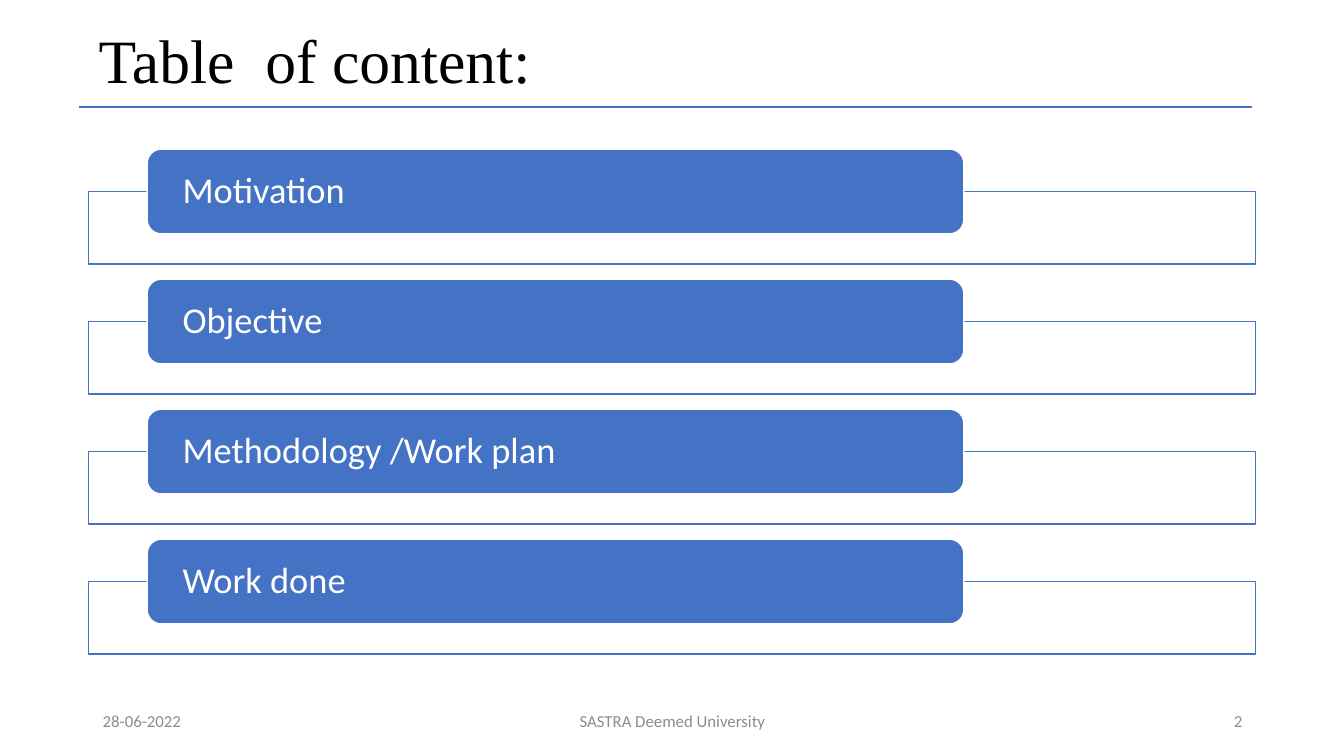
from lxml import etree
from pptx import Presentation
from pptx.dml.color import RGBColor
from pptx.enum.shapes import MSO_CONNECTOR, MSO_SHAPE
from pptx.enum.text import MSO_ANCHOR, PP_ALIGN
from pptx.oxml.ns import qn
from pptx.util import Inches, Pt

COLORS = {"blue": "4472C4", "white": "FFFFFF", "black": "000000", "gray": "8C8C8C"}


def write(shape, text, font, size, color, align=PP_ALIGN.LEFT, anchor=MSO_ANCHOR.MIDDLE):
    frame = shape.text_frame
    frame.text = text
    frame.word_wrap = True
    frame.vertical_anchor = anchor
    paragraph = frame.paragraphs[0]
    paragraph.alignment = align
    run_font = paragraph.runs[0].font
    run_font.name = font
    run_font.size = Pt(size)
    run_font.color.rgb = RGBColor.from_string(COLORS[color])


def add_block(kind, left, top, width, height, fill, line):
    block = slide.shapes.add_shape(kind, Inches(left), Inches(top), Inches(width), Inches(height))
    block.shadow.inherit = False
    block.fill.solid()
    block.fill.fore_color.rgb = RGBColor.from_string(COLORS[fill])
    block.line.color.rgb = RGBColor.from_string(COLORS[line])
    block.line.width = Pt(1)
    return block


prs = Presentation()
prs.slide_width = Inches(13.33)
prs.slide_height = Inches(7.5)
slide = prs.slides.add_slide(prs.slide_layouts[6])

# Title
title = slide.shapes.add_textbox(Inches(0.88), Inches(0.17), Inches(10.03), Inches(0.84))
write(title, "Table  of content:", "Times New Roman", 44, "black", anchor=MSO_ANCHOR.TOP)

# Contents: a label over an open frame for each topic
topics = ["Motivation", "Objective", "Methodology /Work plan", "Work done"]
for index, topic in enumerate(topics):
    top = 1.48 + index * 1.29
    topic_frame = add_block(MSO_SHAPE.RECTANGLE, 0.88, top + 0.42, 11.57, 0.72, "white", "blue")
    frame_color = topic_frame.fill._xPr.find(qn("a:solidFill"))[0]
    etree.SubElement(frame_color, qn("a:alpha"), val="90000")

    label = add_block(MSO_SHAPE.ROUNDED_RECTANGLE, 1.46, top, 8.1, 0.84, "blue", "white")
    write(label, topic, "Calibri", 26, "white")
    label.text_frame.margin_left = label.text_frame.margin_right = Inches(0.31)
    label.text_frame.margin_top = label.text_frame.margin_bottom = 0
    label.text_frame.paragraphs[0].line_spacing = 0.9

# Footer
footer = [
    ("28-06-2022", 0.92, 3, PP_ALIGN.LEFT),
    ("SASTRA Deemed University", 4.42, 4.5, PP_ALIGN.CENTER),
    ("2", 9.42, 3, PP_ALIGN.RIGHT),
]
for text, left, width, align in footer:
    footer_part = slide.shapes.add_textbox(Inches(left), Inches(6.95), Inches(width), Inches(0.4))
    write(footer_part, text, "Calibri", 12, "gray", align)

# Rule under the title
title_rule = slide.shapes.add_connector(
    MSO_CONNECTOR.STRAIGHT, Inches(0.78), Inches(1.06), Inches(12.42), Inches(1.06))
title_rule.line.color.rgb = RGBColor.from_string(COLORS["blue"])
title_rule.line.width = Pt(1.5)
etree.SubElement(title_rule._element.spPr, qn("a:effectLst"))

prs.save("out.pptx")
